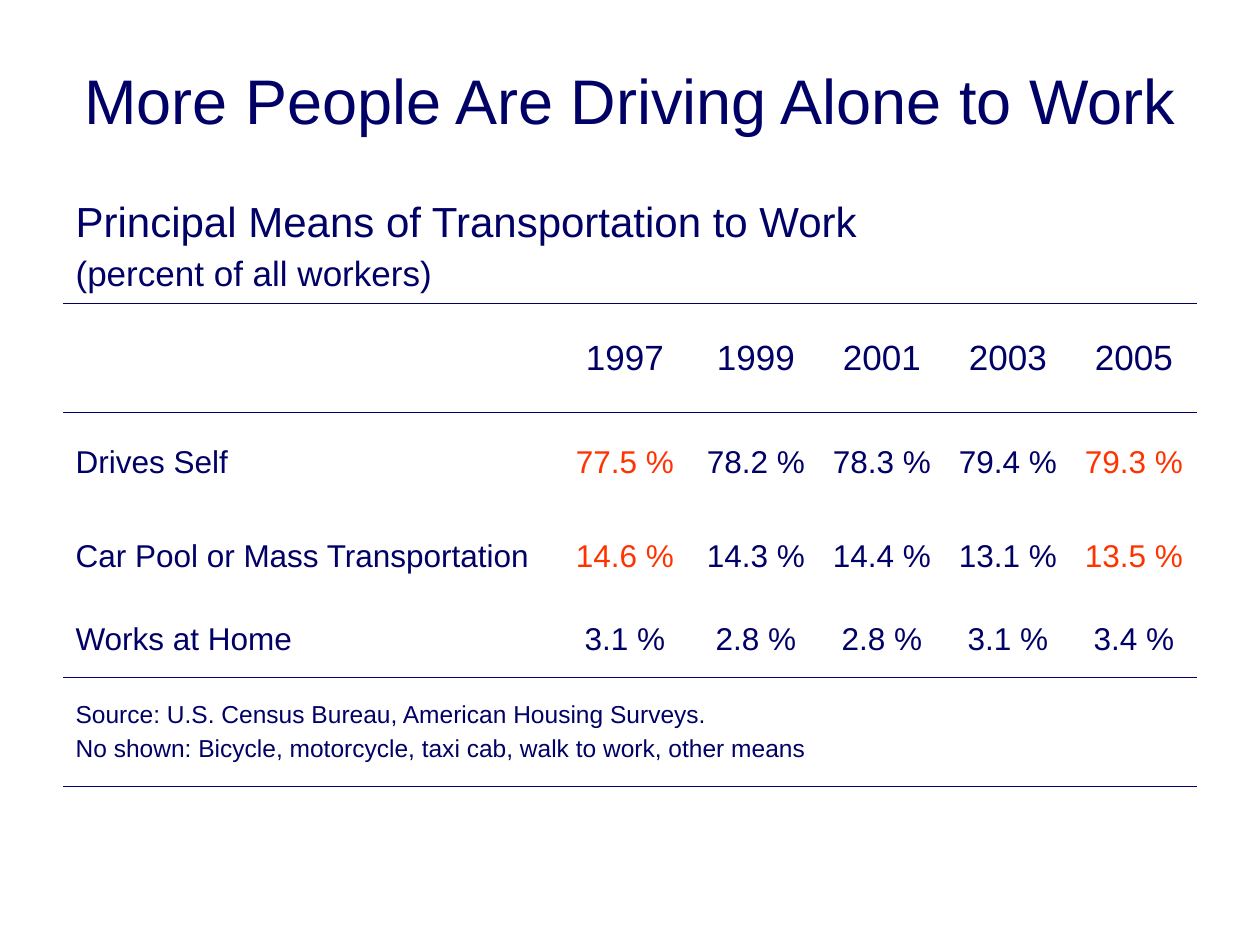
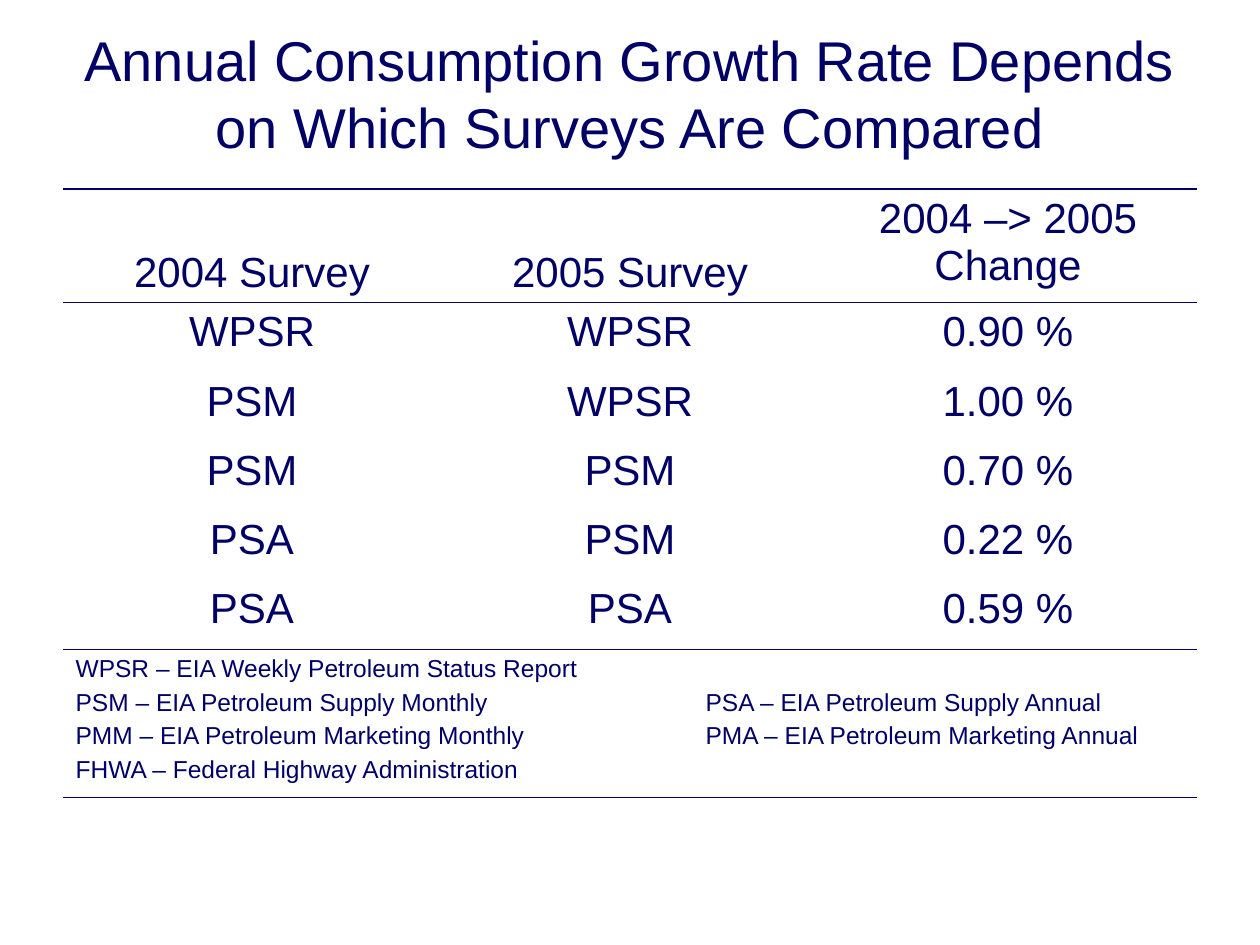
"""Builds two slides of survey tables on commuting and fuel consumption growth."""
from dataclasses import dataclass
from typing import NamedTuple

import lxml.etree
import pptx
import pptx.dml.color
import pptx.enum.text
import pptx.oxml.ns
import pptx.util

Inches = pptx.util.Inches
Pt = pptx.util.Pt
Align = pptx.enum.text.PP_ALIGN
Anchor = pptx.enum.text.MSO_ANCHOR
qn = pptx.oxml.ns.qn


@dataclass(frozen=True)
class Theme:
    font: str = "Arial"
    ink: str = "000066"
    accent: str = "FF3300"
    heading: float = 24
    subheading: float = 20
    body: float = 18
    note: float = 14
    note_gap: float = 3.5
    thin: float = 0.45
    thick: float = 1.08


THEME = Theme()


class Line(NamedTuple):
    text: str
    size: float
    color: str = THEME.ink
    align: Align = Align.CENTER
    space_before: float = 0
    tab: float = 0


class Title(NamedTuple):
    text: str
    size: float
    top: float
    height: float


@dataclass(frozen=True)
class Row:
    height: float
    cells: list[list[Line]]
    anchors: tuple[Anchor, ...] = (Anchor.MIDDLE,)
    merged: bool = False


@dataclass(frozen=True)
class SurveyTable:
    columns: list[float]
    rows: list[Row]
    rules: dict[int, float]


def add_lines(frame: pptx.text.text.TextFrame, lines: list[Line]) -> None:
    """Write each line as one paragraph with one run."""
    for index, line in enumerate(lines):
        paragraph = frame.paragraphs[0] if index == 0 else frame.add_paragraph()
        if line.tab:
            tabs = lxml.etree.SubElement(paragraph._p.get_or_add_pPr(), qn("a:tabLst"))
            lxml.etree.SubElement(tabs, qn("a:tab"), pos=str(Inches(line.tab)), algn="l")
        paragraph.alignment = line.align
        paragraph.space_before = Pt(line.space_before)
        run = paragraph.add_run()
        run.text = line.text
        run.font.name = THEME.font
        run.font.size = Pt(line.size)
        run.font.color.rgb = pptx.dml.color.RGBColor.from_string(line.color)


def add_title(slide: pptx.slide.Slide, title: Title) -> None:
    """Draw the centred slide title."""
    box = slide.shapes.add_textbox(Inches(0.5), Inches(title.top), Inches(9), Inches(title.height))
    frame = box.text_frame
    frame.word_wrap = True
    frame.vertical_anchor = Anchor.MIDDLE
    add_lines(frame, [Line(title.text, title.size)])


def set_borders(cell: pptx.table._Cell, top: float, bottom: float) -> None:
    """Rule the top and bottom of a cell, a zero width meaning no rule."""
    properties = cell._tc.get_or_add_tcPr()
    for edge, width in (("lnL", 0), ("lnR", 0), ("lnT", top), ("lnB", bottom)):
        border = lxml.etree.SubElement(properties, qn(f"a:{edge}"), w=str(Pt(width)))
        if width:
            fill = lxml.etree.SubElement(border, qn("a:solidFill"))
            lxml.etree.SubElement(fill, qn("a:srgbClr"), val=THEME.ink)
        else:
            lxml.etree.SubElement(border, qn("a:noFill"))


def add_survey_table(slide: pptx.slide.Slide, survey: SurveyTable) -> None:
    """Draw a table whose rules lie on the numbered row boundaries."""
    height = sum(row.height for row in survey.rows)
    table = slide.shapes.add_table(
        len(survey.rows), len(survey.columns),
        Inches(0.5), Inches(1.5), Inches(9), Inches(height),
    ).table
    table.first_row = table.horz_banding = False
    for column, width in zip(table.columns, survey.columns):
        column.width = Inches(width)
    for index, row in enumerate(survey.rows):
        table.rows[index].height = Inches(row.height)
        cells = list(table.rows[index].cells)
        for position, cell in enumerate(cells):
            set_borders(cell, survey.rules.get(index, 0), survey.rules.get(index + 1, 0))
            cell.fill.background()
            cell.vertical_anchor = row.anchors[position % len(row.anchors)]
        if row.merged:
            cells[0].merge(cells[-1])
        for cell, lines in zip(cells, row.cells):
            if lines:
                add_lines(cell.text_frame, lines)


def commuting_row(height: float, means: str, shares: list[str], highlight: bool) -> Row:
    """Make a row of yearly shares, marking the first and last year if asked."""
    last = len(shares) - 1
    values = [
        [Line(f"{share} %", THEME.body, THEME.accent if highlight and year in (0, last) else THEME.ink)]
        for year, share in enumerate(shares)
    ]
    return Row(height, [[Line(means, THEME.body, align=Align.LEFT)], *values])


def note_row(height: float, notes: list[str], anchor: Anchor) -> Row:
    """Make a full-width row of small notes."""
    lines = [
        Line(note, THEME.note, align=Align.LEFT, space_before=THEME.note_gap if index else 0, tab=5 if "\t" in note else 0)
        for index, note in enumerate(notes)
    ]
    return Row(height, [lines], (anchor,), merged=True)


COMMUTING = SurveyTable(
    columns=[3.92, 1.08, 1, 1, 1, 1],
    rows=[
        Row(0.91, [[
            Line("Principal Means of Transportation to Work", THEME.heading, align=Align.LEFT),
            Line("(percent of all workers)", THEME.subheading, align=Align.LEFT, space_before=5),
        ]], merged=True),
        Row(0.86, [[], *([Line(str(year), THEME.subheading)] for year in range(1997, 2006, 2))]),
        commuting_row(0.8, "Drives Self", ["77.5", "78.2", "78.3", "79.4", "79.3"], True),
        commuting_row(0.7, "Car Pool or Mass Transportation", ["14.6", "14.3", "14.4", "13.1", "13.5"], True),
        commuting_row(0.61, "Works at Home", ["3.1", "2.8", "2.8", "3.1", "3.4"], False),
        note_row(0.86, [
            "Source: U.S. Census Bureau, American Housing Surveys.",
            "No shown: Bicycle, motorcycle, taxi cab, walk to work, other means",
        ], Anchor.MIDDLE),
    ],
    rules={1: THEME.thin, 2: THEME.thin, 5: THEME.thin, 6: THEME.thin},
)

COMPARISONS = [
    ("WPSR", "WPSR", "0.90 %"),
    ("PSM", "WPSR", "1.00 %"),
    ("PSM", "PSM", "0.70 %"),
    ("PSA", "PSM", "0.22 %"),
    ("PSA", "PSA", "0.59 %"),
]

GROWTH = SurveyTable(
    columns=[3, 3, 3],
    rows=[
        Row(
            0.9,
            [[Line(text, THEME.heading)] for text in ("2004 Survey", "2005 Survey", "2004 –> 2005 Change")],
            (Anchor.BOTTOM, Anchor.BOTTOM, Anchor.TOP),
        ),
        *(Row(0.55, [[Line(text, THEME.heading)] for text in comparison], (Anchor.TOP,)) for comparison in COMPARISONS),
        note_row(1.18, [
            "WPSR – EIA Weekly Petroleum Status Report",
            "PSM – EIA Petroleum Supply Monthly\tPSA – EIA Petroleum Supply Annual",
            "PMM – EIA Petroleum Marketing Monthly\tPMA – EIA Petroleum Marketing Annual",
            "FHWA – Federal Highway Administration",
        ], Anchor.TOP),
    ],
    rules={0: THEME.thick, 1: THEME.thin, 6: THEME.thin, 7: THEME.thick},
)

SLIDES = [
    (Title("More People Are Driving Alone to Work", 36, 0.25, 1.08), COMMUTING),
    (Title("Annual Consumption Growth Rate Depends on Which Surveys Are Compared", 32, 0.3, 0.87), GROWTH),
]


def main() -> None:
    """Build and save the presentation."""
    deck = pptx.Presentation()
    deck.slide_width, deck.slide_height = Inches(10), Inches(7.5)
    for title, survey in SLIDES:
        slide = deck.slides.add_slide(deck.slide_layouts[6])
        add_title(slide, title)
        add_survey_table(slide, survey)
    deck.save("out.pptx")


if __name__ == "__main__":
    main()
